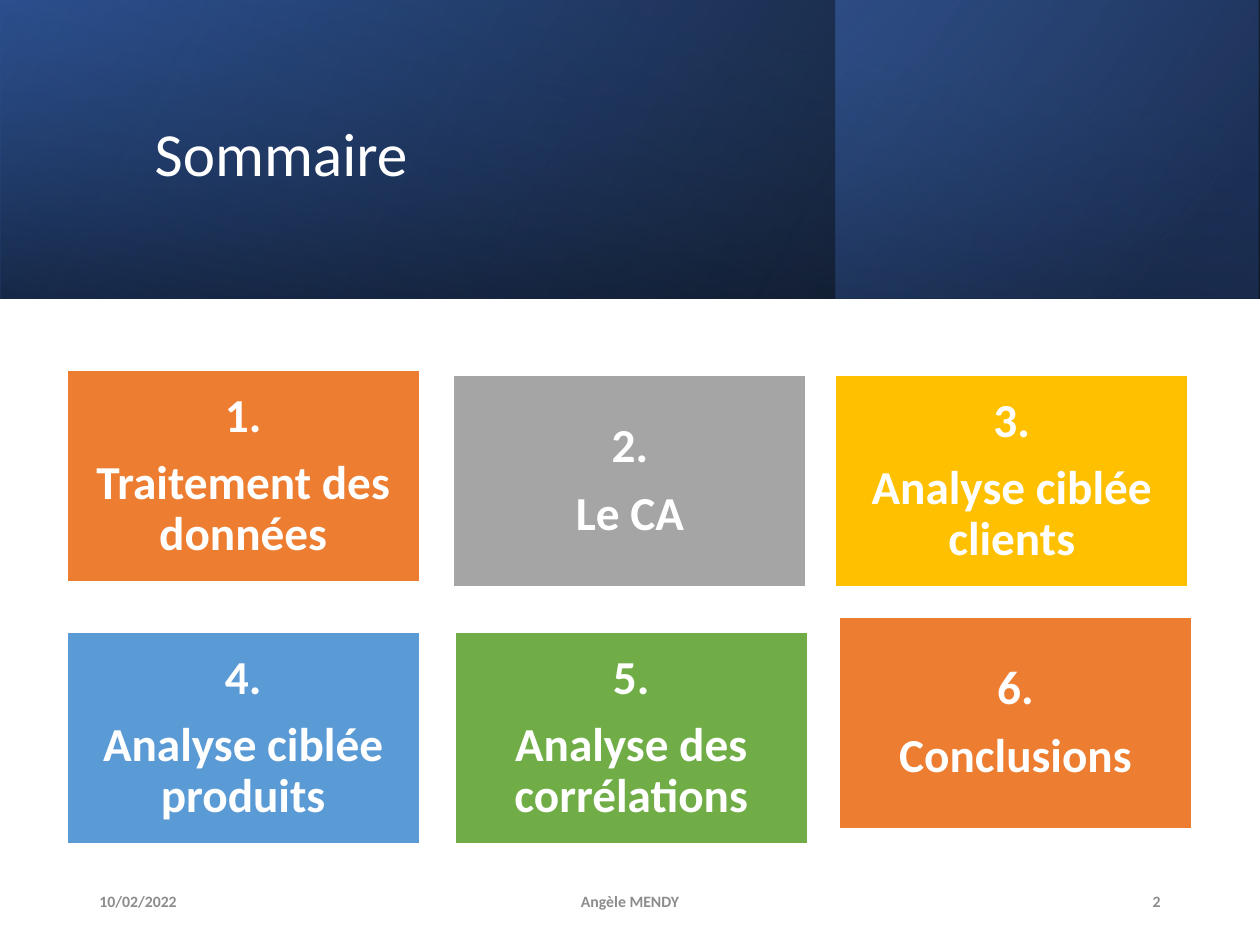
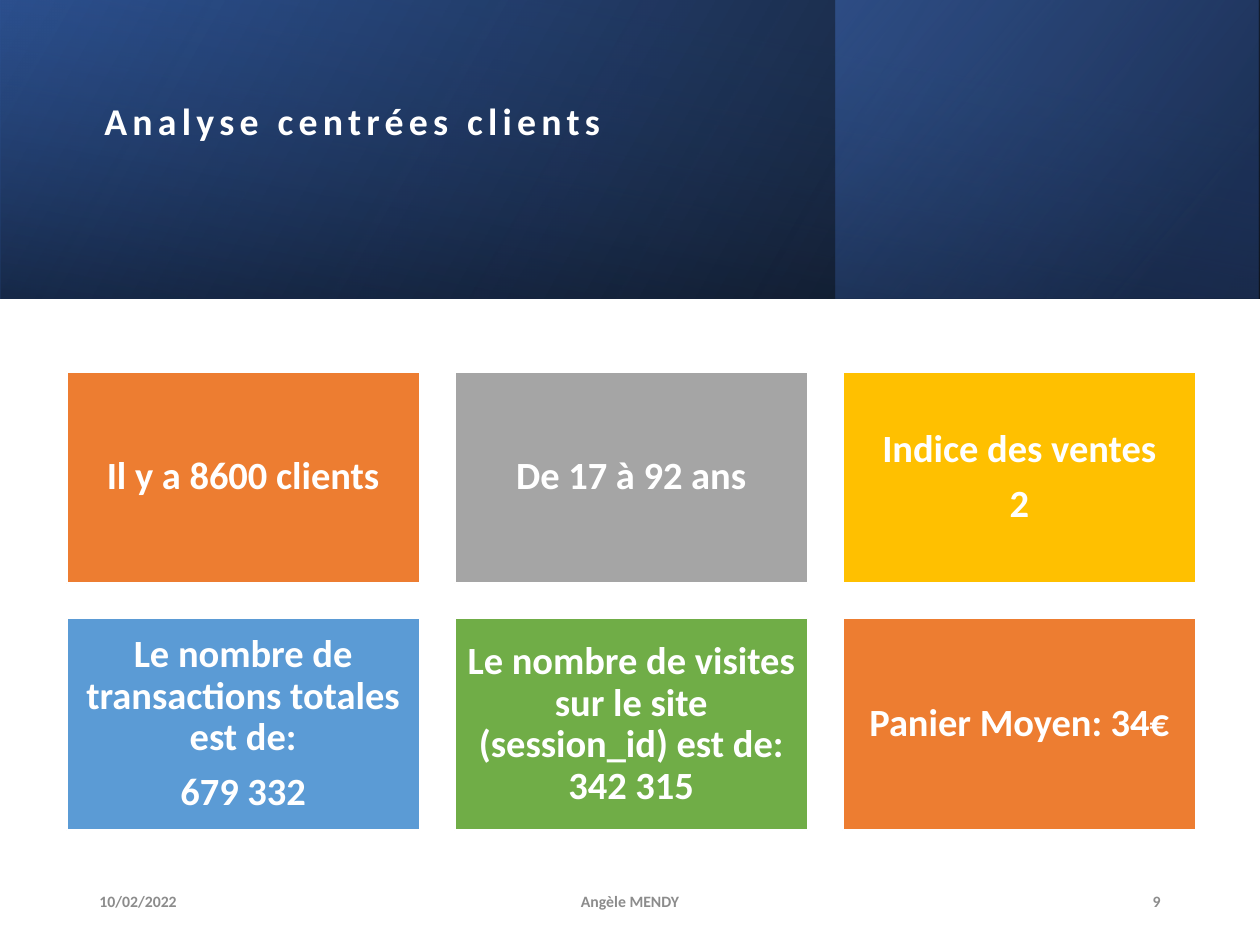
import pptx
import pptx.util
import pptx.dml.color
import pptx.enum.shapes
import pptx.enum.text
import pptx.oxml
import pptx.oxml.ns

RECTANGLE = pptx.enum.shapes.MSO_SHAPE.RECTANGLE
ALIGN = pptx.enum.text.PP_ALIGN
ANCHOR = pptx.enum.text.MSO_ANCHOR
WHITE, FOOTER_GREY = "FFFFFF", "8C8C8C"
CARD_COLOURS = ["ED7D31", "A5A5A5", "FFC000", "5B9BD5", "70AD47", "ED7D31"]

# All positions are percentages of the slide's width and height.
COLUMNS, COLUMN_STEP, ROW_STEP = 3, 30.8, 26.13
GRID_LEFT, GRID_TOP, CARD_WIDTH, CARD_HEIGHT = 5.3, 39.33, 28, 22.4

# Place, rotation, gradient stops (position, colour, opacity), angle
BANDS = [
    ((0, 0, 100, 31.6), 0, [(0, "000000", 96), (100, "2F5597", 100)], 330),
    ((66.3, 0, 33.6, 31.6), 0, [(19, "203864", 68), (100, "4472C4", 48)], 320),
    ((38.15, -50.87, 23.7, 133.33), 270, [(23, "2F5597", 16), (99, "000000", 45)], 350),
]

SLIDES = [
    {
        "title": "Sommaire", "title_place": (11.3, 5.07, 79.7, 22.93),
        "title_size": 35, "title_bold": False, "title_anchor": ANCHOR.MIDDLE, "tracking": 0,
        "card_size": 27, "card_inset": 0.11, "number": "2",
        "cards": [["1.", "Traitement des données"], ["2.", "Le CA"],
                  ["3.", "Analyse ciblée clients"], ["4.", "Analyse ciblée produits"],
                  ["5.", "Analyse des corrélations"], ["6.", "Conclusions"]],
        "nudges": [(0, -0.13), (-0.1, 0.4), (-0.6, 0.4), (0, 1.47), (0, 1.47), (-0.3, -0.13)],
    },
    {
        "title": "Analyse centrées clients", "title_place": (7.3, 5.6, 79.7, 10.27),
        "title_size": 21.6, "title_bold": True, "title_anchor": ANCHOR.BOTTOM, "tracking": 300,
        "card_size": 22, "card_inset": 0.09, "number": "9",
        "cards": [["Il y a 8600 clients"], ["De 17 à 92 ans"], ["Indice des ventes", "2"],
                  ["Le nombre de transactions totales est de:", "679 332"],
                  ["Le nombre de visites sur le site (session_id) est de: 342 315"],
                  ["Panier Moyen: 34€"]],
        "nudges": [(0, 0)] * 6,
    },
]

deck = pptx.Presentation()
deck.slide_width = pptx.util.Inches(10)
deck.slide_height = pptx.util.Inches(7.5)


def emu(place):
    """Turn left, top, width, height in percent into slide lengths."""
    sides = (deck.slide_width, deck.slide_height) * 2
    return [round(side * share / 100) for side, share in zip(sides, place)]


def write(box, lines, size, colour, bold, align, anchor=ANCHOR.MIDDLE, spacing=1.0, after=0):
    frame = box.text_frame
    frame.word_wrap = True
    frame.vertical_anchor = anchor
    frame.text = "\n".join(lines)
    for para in frame.paragraphs:
        para.alignment = align
        para.line_spacing = spacing
        para.space_after = pptx.util.Pt(after)
        para.font.name = "Calibri"
        para.font.size = pptx.util.Pt(size)
        para.font.bold = bold
        para.font.color.rgb = pptx.dml.color.RGBColor.from_string(colour)


for content in SLIDES:
    page = deck.slides.add_slide(deck.slide_layouts[6])

    for place, rotation, stops, angle in BANDS:
        band = page.shapes.add_shape(RECTANGLE, *emu(place))
        band.shadow.inherit = False
        band.line.fill.background()
        band.rotation = rotation
        properties = band.element.spPr
        properties.xfrm.set("flipH", "1")
        stop_xml = "".join(
            f'<a:gs pos="{position * 1000}"><a:srgbClr val="{colour}">'
            f'<a:alpha val="{opacity * 1000}"/></a:srgbClr></a:gs>'
            for position, colour, opacity in stops)
        gradient = pptx.oxml.parse_xml(
            f'<a:gradFill {pptx.oxml.ns.nsdecls("a")}><a:gsLst>{stop_xml}</a:gsLst>'
            f'<a:lin ang="{angle * 60000}" scaled="0"/></a:gradFill>')
        properties.insert(2, gradient)

    title = page.shapes.add_textbox(*emu(content["title_place"]))
    write(title, [content["title"]], content["title_size"], WHITE, content["title_bold"],
          ALIGN.LEFT, content["title_anchor"], 0.9)
    if content["tracking"]:
        span = title.text_frame.paragraphs[0].runs[0]
        span.font.bold = True
        span.font.element.set("spc", str(content["tracking"])) if hasattr(span.font, "element") \
            else span._r.get_or_add_rPr().set("spc", str(content["tracking"]))

    for index, (lines, colour, nudge) in enumerate(
            zip(content["cards"], CARD_COLOURS, content["nudges"])):
        row, column = divmod(index, COLUMNS)
        card = page.shapes.add_shape(RECTANGLE, *emu((
            GRID_LEFT + column * COLUMN_STEP + nudge[0],
            GRID_TOP + row * ROW_STEP + nudge[1], CARD_WIDTH, CARD_HEIGHT)))
        card.shadow.inherit = False
        card.fill.solid()
        card.fill.fore_color.rgb = pptx.dml.color.RGBColor.from_string(colour)
        card.line.color.rgb = pptx.dml.color.RGBColor.from_string(WHITE)
        card.line.width = pptx.util.Pt(1)
        frame = card.text_frame
        frame.margin_left = frame.margin_right = pptx.util.Inches(content["card_inset"])
        frame.margin_top = frame.margin_bottom = pptx.util.Inches(content["card_inset"])
        write(card, lines, content["card_size"], WHITE, True, ALIGN.CENTER,
              spacing=0.9, after=0.35 * content["card_size"])

    for text, left, width, align in [
            ("10/02/2022", 6.9, 22.5, ALIGN.LEFT),
            ("Angèle MENDY", 33.1, 33.8, ALIGN.CENTER),
            (content["number"], 70.6, 22.5, ALIGN.RIGHT)]:
        footer = page.shapes.add_textbox(*emu((left, 92.67, width, 5.33)))
        write(footer, [text], 9, FOOTER_GREY, True, align)

deck.save("out.pptx")
